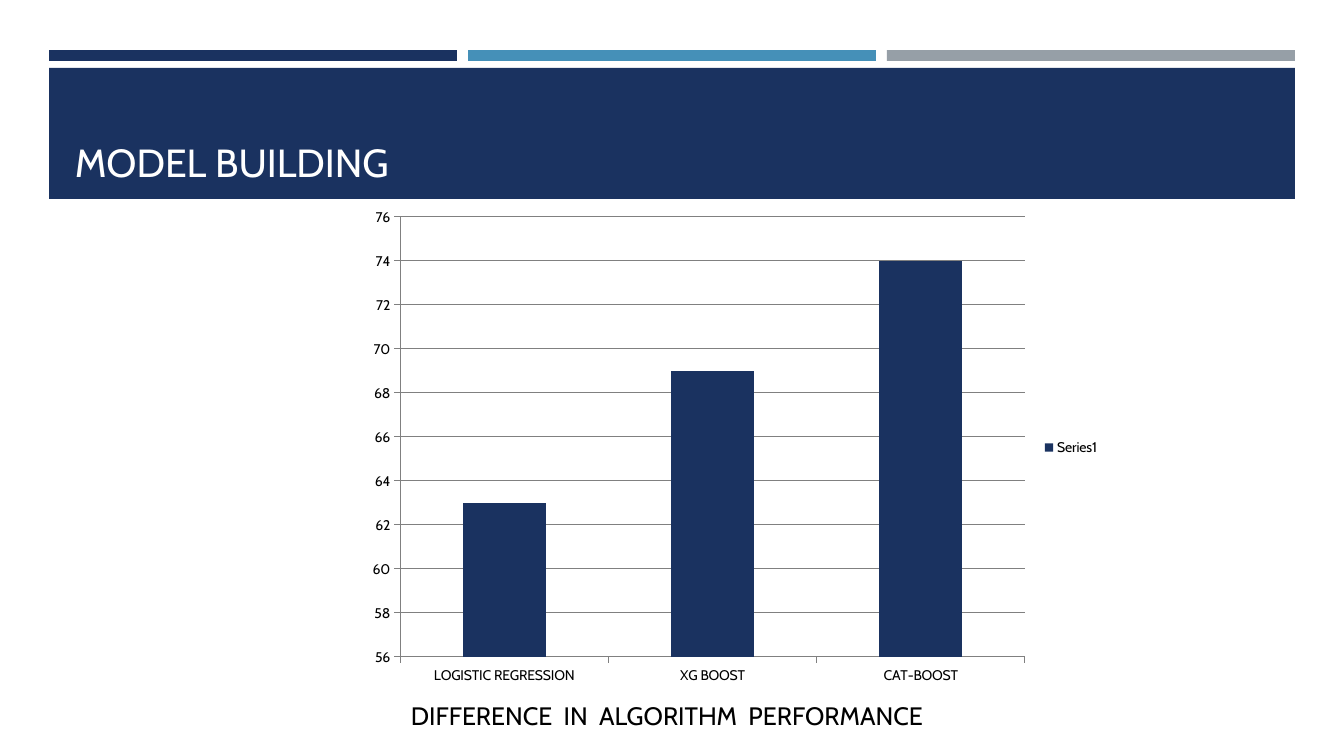
from dataclasses import dataclass

from pptx import Presentation
from pptx.chart.data import CategoryChartData
from pptx.dml.color import RGBColor
from pptx.enum.chart import XL_CHART_TYPE as ChartType
from pptx.enum.chart import XL_LEGEND_POSITION as LegendPosition
from pptx.enum.chart import XL_TICK_MARK as TickMark
from pptx.enum.shapes import MSO_SHAPE as ShapeType
from pptx.enum.text import MSO_ANCHOR as Anchor
from pptx.oxml import parse_xml
from pptx.oxml.ns import nsdecls, qn
from pptx.util import Pt


@dataclass(frozen=True)
class Theme:
    font: str = "Cabin"
    navy: str = "1A3260"
    blue: str = "4590B8"
    gray: str = "969FA7"
    white: str = "FFFFFF"
    black: str = "000000"
    axis: str = "808080"
    title_size: int = 28
    caption_size: int = 18
    chart_size: int = 10


class SlideBuilder:
    SCALE = 914400 / 100.8

    def __init__(self, slide, theme):
        self.slide = slide
        self.theme = theme

    @classmethod
    def emu(cls, *pixels):
        return [round(pixel * cls.SCALE) for pixel in pixels]

    def style_font(self, font, size, color):
        font.name = self.theme.font
        font.size = Pt(size)
        font.color.rgb = RGBColor.from_string(color)

    def style_line(self, line):
        line.color.rgb = RGBColor.from_string(self.theme.axis)
        line.width = Pt(0.75)

    def bar(self, box, color):
        shape = self.slide.shapes.add_shape(ShapeType.RECTANGLE, *self.emu(*box))
        shape.shadow.inherit = False
        shape.fill.solid()
        shape.fill.fore_color.rgb = RGBColor.from_string(color)
        shape.line.fill.background()

    def text(self, box, words, size, color, anchor=Anchor.TOP):
        frame = self.slide.shapes.add_textbox(*self.emu(*box)).text_frame
        frame.word_wrap = True
        frame.vertical_anchor = anchor
        paragraph = frame.paragraphs[0]
        paragraph.text = words
        self.style_font(paragraph.font, size, color)

    def column_chart(self, box, plot_box, series_name, values):
        data = CategoryChartData()
        data.categories = list(values)
        data.add_series(series_name, list(values.values()))
        chart = self.slide.shapes.add_chart(
            ChartType.COLUMN_STACKED, *self.emu(*box), data).chart
        chart.has_title = False
        self.style_font(chart.font, self.theme.chart_size, self.theme.black)
        chart.has_legend = True
        chart.legend.position = LegendPosition.RIGHT
        chart.legend.include_in_layout = False

        plot = chart.plots[0]
        plot.vary_by_categories = False
        plot.gap_width = 150
        plot.overlap = 100
        fill = plot.series[0].format.fill
        fill.solid()
        fill.fore_color.rgb = RGBColor.from_string(self.theme.navy)

        for axis in (chart.category_axis, chart.value_axis):
            axis.major_tick_mark = TickMark.OUTSIDE
            axis.minor_tick_mark = TickMark.NONE
            self.style_line(axis.format.line)
        value_axis = chart.value_axis
        value_axis.minimum_scale = 56
        value_axis.maximum_scale = 76
        value_axis.major_unit = 2
        value_axis.has_major_gridlines = True
        self.style_line(value_axis.major_gridlines.format.line)
        self.place_plot(chart, box, plot_box)

    def place_plot(self, chart, box, plot_box):
        left, top, width, height = box
        x, y, w, h = plot_box
        fractions = {"x": (x - left) / width, "y": (y - top) / height,
                     "w": w / width, "h": h / height}
        sizes = "".join(f'<c:{name} val="{value:.3f}"/>'
                        for name, value in fractions.items())
        layout = parse_xml(
            f'<c:layout {nsdecls("c")}><c:manualLayout>'
            '<c:layoutTarget val="inner"/><c:xMode val="edge"/>'
            f'<c:yMode val="edge"/>{sizes}</c:manualLayout></c:layout>')
        plot_area = chart.element.find(".//" + qn("c:plotArea"))
        for automatic in plot_area.findall(qn("c:layout")):
            plot_area.remove(automatic)
        plot_area.insert(0, layout)


theme = Theme()
presentation = Presentation()
presentation.slide_width, presentation.slide_height = SlideBuilder.emu(1344, 756)
slide = presentation.slides.add_slide(presentation.slide_layouts[6])
builder = SlideBuilder(slide, theme)

for column, color in enumerate((theme.navy, theme.blue, theme.gray)):
    builder.bar((49 + 419 * column, 50, 408, 11), color)
builder.bar((49, 68, 1246, 131), theme.navy)
builder.text((65, 78, 1216, 112), "MODEL BUILDING",
             theme.title_size, theme.white, Anchor.BOTTOM)
builder.column_chart(
    (358, 200, 752, 495), (400, 217, 625, 440), "Series1",
    {"LOGISTIC REGRESSION": 63, "XG BOOST": 69, "CAT-BOOST": 74})
builder.text((401, 695, 612, 40), "DIFFERENCE  IN  ALGORITHM  PERFORMANCE",
             theme.caption_size, theme.black)

presentation.save("out.pptx")
